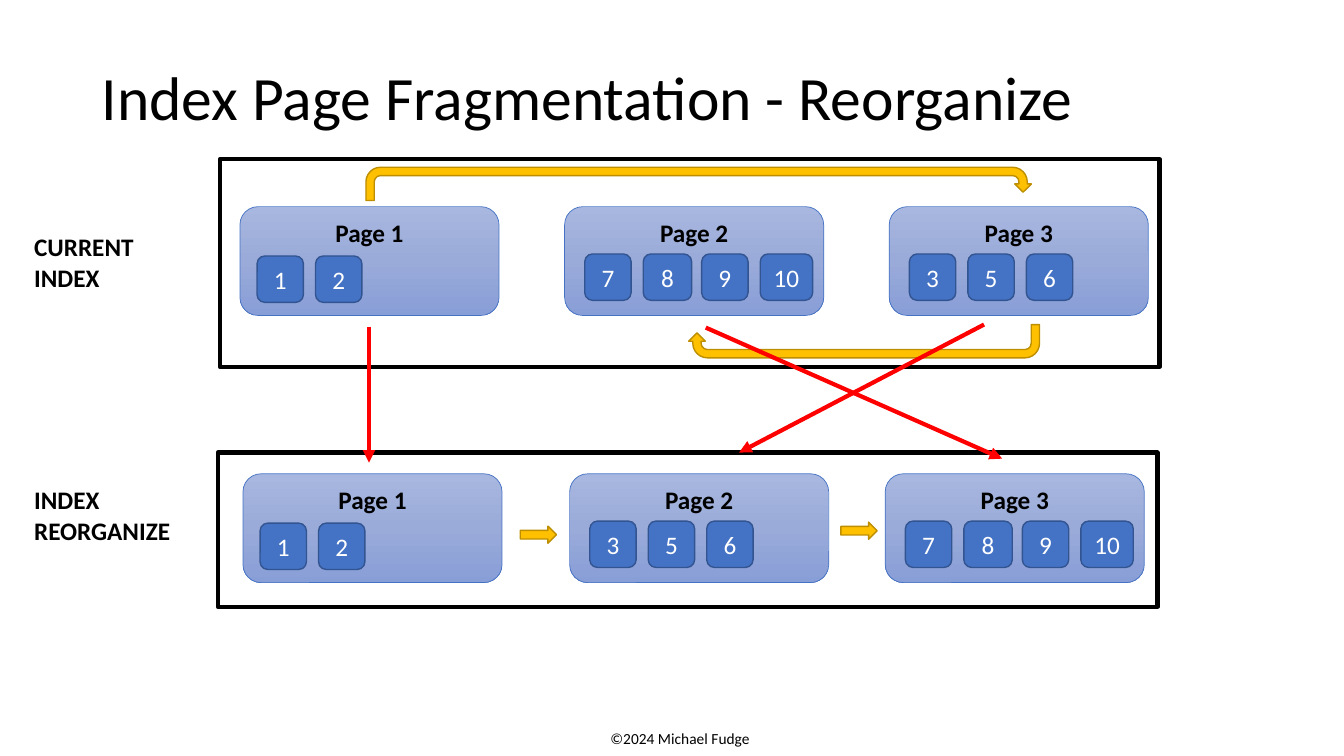
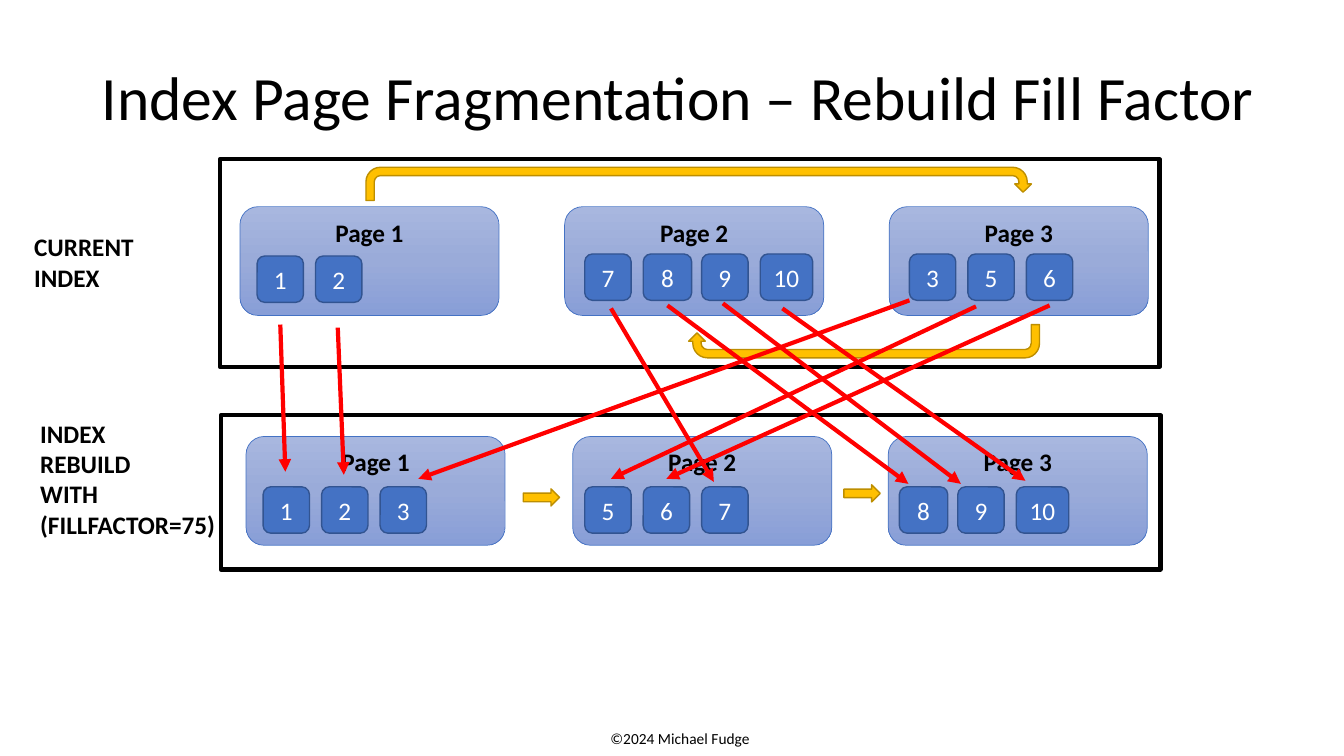
import copy

import pptx
import pptx.dml.color
import pptx.enum.shapes
import pptx.enum.text
import pptx.oxml.ns
import pptx.oxml.xmlchemy
import pptx.util

RGBColor = pptx.dml.color.RGBColor
Pt = pptx.util.Pt
SHAPES = pptx.enum.shapes.MSO_SHAPE
ANCHOR = pptx.enum.text.MSO_ANCHOR
ALIGN = pptx.enum.text.PP_ALIGN
OxmlElement = pptx.oxml.xmlchemy.OxmlElement
qn = pptx.oxml.ns.qn

PX = 9144
FONT = "Calibri"
BLACK = RGBColor(0x00, 0x00, 0x00)
WHITE = RGBColor(0xFF, 0xFF, 0xFF)
RED = RGBColor(0xFF, 0x00, 0x00)
GOLD = RGBColor(0xFF, 0xC0, 0x00)
DARK_GOLD = RGBColor(0xBD, 0x8E, 0x00)
BLUE = RGBColor(0x44, 0x72, 0xC4)
DARK_BLUE = RGBColor(0x32, 0x54, 0x91)
PAGE_SHADES = (
    RGBColor(0xA8, 0xB7, 0xDF),
    RGBColor(0x9A, 0xAB, 0xD9),
    RGBColor(0x88, 0x9E, 0xD7),
)

FOOTER = "©2024 Michael Fudge"
PAGE_SIZE = (257, 108)
KEY_SIZE = 46
KEY_WIDTHS = {"8": 48, "10": 52}
KEY_PITCH = 58

CURRENT_INDEX = {
    "label": ("CURRENT\nINDEX", (24, 225, 120, 71)),
    "frame": (218, 158, 932, 206),
    "page_offsets": (20, 342, 664),
    "page_drop": 47,
    "pages": [
        (["1", "2"], 17, 49),
        (["7", "8", "9", "10"], 20, 47),
        (["3", "5", "6"], 20, 47),
    ],
    "links": [
        (SHAPES.U_TURN_ARROW, (145, 8, 660, 33), 0),
        (SHAPES.U_TURN_ARROW, (465, 164, 348, 33), 180),
    ],
}
ORDERED_INDEX = {
    "page_offsets": (25, 349, 662),
    "page_drop": 21,
    "links": [
        (SHAPES.RIGHT_ARROW, (300, 73, 36, 17), 0),
        (SHAPES.RIGHT_ARROW, (618, 69, 36, 17), 0),
    ],
}
SLIDES = [
    {
        "title": "Index Page Fragmentation - Reorganize",
        "result": {
            **ORDERED_INDEX,
            "label": ("INDEX\nREORGANIZE", (24, 476, 156, 71)),
            "frame": (216, 449, 932, 153),
            "pages": [
                (["1", "2"], 17, 49),
                (["3", "5", "6"], 20, 47),
                (["7", "8", "9", "10"], 20, 47),
            ],
        },
        "moves": [
            ((976, 322), (733, 449)),
            ((700, 325), (994, 455)),
            ((366, 324), (366, 459)),
        ],
    },
    {
        "title": "Index Page Fragmentation – Rebuild Fill Factor",
        "result": {
            **ORDERED_INDEX,
            "label": ("INDEX\nREBUILD\nWITH\n(FILLFACTOR=75)", (30, 410, 195, 131)),
            "frame": (219, 412, 932, 153),
            "pages": [
                (["1", "2", "3"], 17, 50),
                (["5", "6", "7"], 12, 50),
                (["8", "9", "10"], 11, 50),
            ],
        },
        "moves": [
            ((278, 322), (283, 468)),
            ((335, 325), (341, 471)),
            ((902, 298), (415, 475)),
            ((968, 304), (606, 475)),
            ((1041, 303), (661, 475)),
            ((606, 306), (708, 478)),
            ((662, 303), (901, 480)),
            ((717, 301), (953, 480)),
            ((776, 306), (1017, 477)),
        ],
    },
]


def emu(lengths):
    return [length * PX for length in lengths]


def write(shape, text, size, color=BLACK, bold=False, align=ALIGN.LEFT, anchor=ANCHOR.TOP):
    frame = shape.text_frame
    frame.text = text
    frame.vertical_anchor = anchor
    for paragraph in frame.paragraphs:
        paragraph.alignment = align
        for run in paragraph.runs:
            run.font.name = FONT
            run.font.size = Pt(size)
            run.font.bold = bold
            run.font.color.rgb = color


def add_text(slide, text, box, size, wrap=True, **style):
    holder = slide.shapes.add_textbox(*emu(box))
    write(holder, text, size, **style)
    holder.text_frame.word_wrap = wrap
    return holder


def add_block(slide, kind, box, fill, outline, width):
    block = slide.shapes.add_shape(kind, *emu(box))
    block.shadow.inherit = False
    if fill:
        block.fill.solid()
        block.fill.fore_color.rgb = fill
    block.line.color.rgb = outline
    block.line.width = Pt(width)
    return block


def shade(page):
    page.fill.gradient()
    page.fill.gradient_angle = 270
    stops = page._element.spPr.find(".//" + qn("a:gsLst"))
    middle = copy.deepcopy(stops[0])
    middle.set("pos", "50000")
    stops.insert(1, middle)
    for stop, color in zip(page.fill.gradient_stops, PAGE_SHADES):
        stop.color.rgb = color


def add_page(slide, number, left, top, keys, indent, drop):
    page = add_block(slide, SHAPES.ROUNDED_RECTANGLE, (left, top, *PAGE_SIZE), None, BLUE, 0.5)
    shade(page)
    write(page, f"Page {number}", 18, bold=True, align=ALIGN.CENTER)
    for position, key in enumerate(keys):
        box = (left + indent + position * KEY_PITCH, top + drop,
               KEY_WIDTHS.get(key, KEY_SIZE), KEY_SIZE)
        tile = add_block(slide, SHAPES.ROUNDED_RECTANGLE, box, BLUE, DARK_BLUE, 1)
        write(tile, key, 18, WHITE, align=ALIGN.CENTER, anchor=ANCHOR.MIDDLE)


def add_index(slide, index):
    label, label_box = index["label"]
    add_text(slide, label, label_box, 18, wrap=False, bold=True)
    left, top = index["frame"][:2]
    add_block(slide, SHAPES.RECTANGLE, index["frame"], WHITE, BLACK, 3)
    for number, (offset, page) in enumerate(zip(index["page_offsets"], index["pages"]), 1):
        add_page(slide, number, left + offset, top + index["page_drop"], *page)
    for kind, (dx, dy, width, height), turn in index["links"]:
        link = add_block(slide, kind, (left + dx, top + dy, width, height), GOLD, DARK_GOLD, 1)
        link.rotation = turn


def add_move(slide, start, end):
    move = slide.shapes.add_connector(
        pptx.enum.shapes.MSO_CONNECTOR.STRAIGHT, *emu(start + end))
    move.line.color.rgb = RED
    move.line.width = Pt(3)
    properties = move._element.spPr
    head = OxmlElement("a:tailEnd")
    head.set("type", "triangle")
    properties.find(qn("a:ln")).append(head)
    properties.append(OxmlElement("a:effectLst"))


def main():
    deck = pptx.Presentation()
    deck.slide_width, deck.slide_height = emu((1333, 750))
    for content in SLIDES:
        slide = deck.slides.add_slide(deck.slide_layouts[6])
        add_text(slide, FOOTER, (575, 718, 199, 29), 11, align=ALIGN.CENTER)
        title = add_text(slide, content["title"], (91, 40, 1182, 120), 44, anchor=ANCHOR.MIDDLE)
        title.text_frame.paragraphs[0].line_spacing = 0.9
        add_index(slide, CURRENT_INDEX)
        add_index(slide, content["result"])
        for start, end in content["moves"]:
            add_move(slide, start, end)
    deck.save("out.pptx")


if __name__ == "__main__":
    main()
